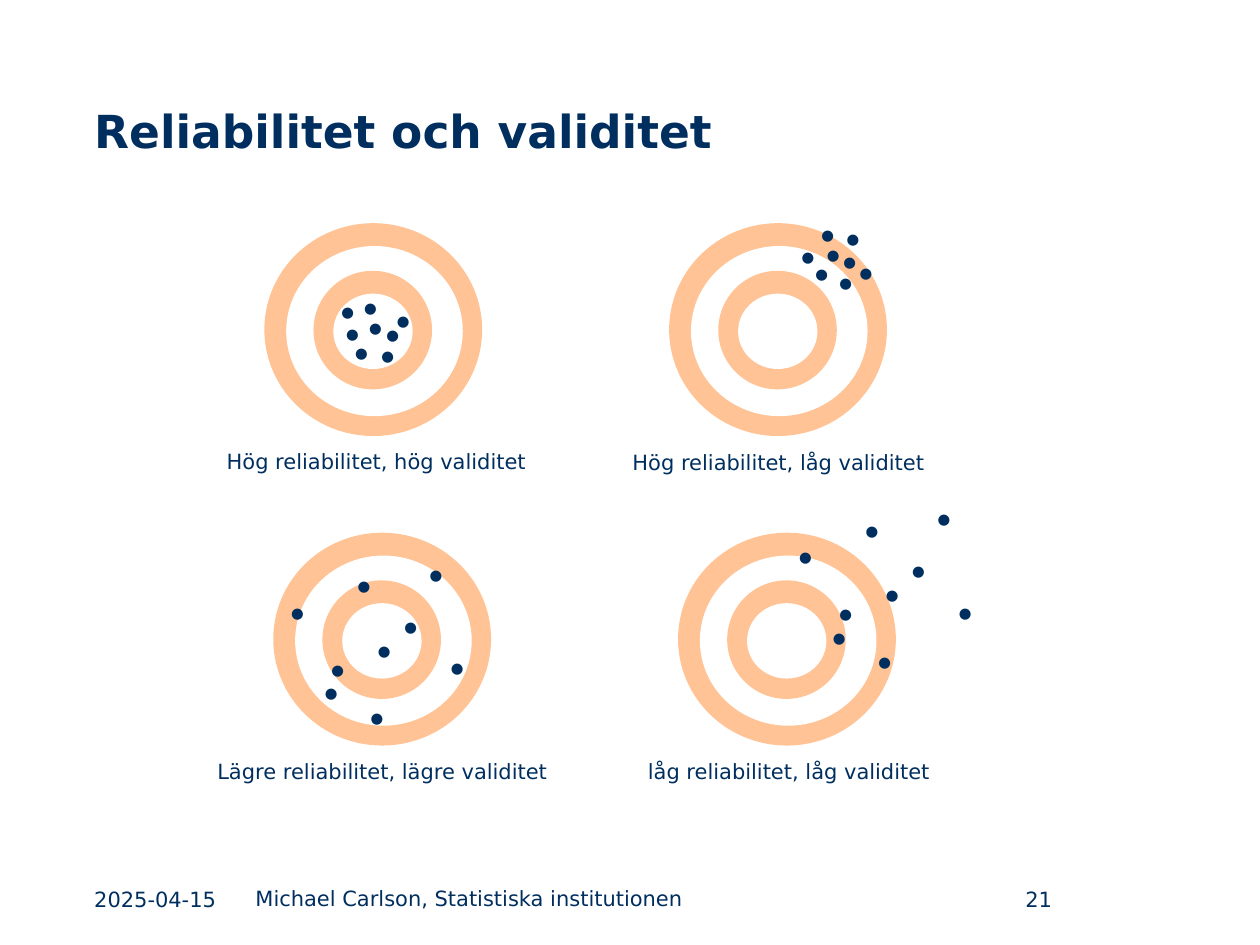
from dataclasses import dataclass

from pptx import Presentation
from pptx.dml.color import RGBColor
from pptx.enum.shapes import MSO_SHAPE
from pptx.enum.text import MSO_ANCHOR, PP_ALIGN
from pptx.util import Cm, Pt

OVAL = MSO_SHAPE.OVAL
TOP, MIDDLE, BOTTOM = MSO_ANCHOR.TOP, MSO_ANCHOR.MIDDLE, MSO_ANCHOR.BOTTOM
LEFT, CENTER, RIGHT = PP_ALIGN.LEFT, PP_ALIGN.CENTER, PP_ALIGN.RIGHT

NAVY, PEACH, WHITE = "002F5F", "FFC395", "FFFFFF"
BODY_FONT, HIT_FONT = "DejaVu Sans", "Calibri"

Point = tuple[float, float]


@dataclass
class Label:
    """A line of text; lengths in centimetres."""
    text: str
    left: float
    top: float
    width: float
    height: float
    size: int = 12
    font: str = BODY_FONT
    bold: bool = False
    align: PP_ALIGN = LEFT
    anchor: MSO_ANCHOR = TOP
    wrap: bool = True


@dataclass
class Ring:
    """An ellipse placed from the corner of its target."""
    left: float
    top: float
    width: float
    height: float
    color: str


@dataclass
class Target:
    """A target, its hits (from its corner) and its caption."""
    left: float
    top: float
    hits: list[Point]
    caption: str
    caption_left: float
    caption_top: float
    caption_width: float


RINGS = [
    Ring(0, 0, 4.39, 4.29, PEACH),
    Ring(0.44, 0.46, 3.56, 3.43, WHITE),
    Ring(0.99, 0.96, 2.39, 2.39, PEACH),
    Ring(1.39, 1.42, 1.6, 1.52, WHITE),
]

# Hit patterns
CENTERED = [(1.37, 1.68), (2.18, 1.7), (1.73, 1.17), (2.08, 2.13),
            (1.55, 2.06), (1.83, 1.57), (2.39, 1.42), (1.27, 1.24)]
OFF_CENTER = [(2.79, -0.3), (3.15, 0.66), (2.39, 0.13), (3.23, 0.23),
              (2.67, 0.48), (2.9, 0.1), (3.3, -0.23), (3.56, 0.46)]
SCATTERED = [(0.08, 1.07), (1.68, 3.18), (3.3, 2.18), (2.36, 1.35), (0.89, 2.21),
             (1.42, 0.53), (2.87, 0.3), (0.76, 2.69), (1.83, 1.83)]
SCATTERED_OFF = [(x + 2.08, y - 1.12) for x, y in SCATTERED]

TARGETS = [
    Target(5.33, 4.5, CENTERED, "Hög reliabilitet, hög validitet", 4.29, 8.92, 6.6),
    Target(13.49, 4.5, OFF_CENTER, "Hög reliabilitet, låg validitet", 12.47, 8.94, 6.45),
    Target(5.51, 10.74, SCATTERED, "Lägre reliabilitet, lägre validitet", 4.09, 15.16, 7.24),
    Target(13.67, 10.74, SCATTERED_OFF, "låg reliabilitet, låg validitet", 12.78, 15.16, 6.25),
]

LABELS = [
    Label("Reliabilitet och validitet", 1.65, 1.09, 22.07, 2.21,
          size=26, bold=True, anchor=BOTTOM),
    Label("2025-04-15", 1.65, 17.73, 3.12, 0.79, anchor=MIDDLE),
    Label("Michael Carlson, Statistiska institutionen", 4.9, 17.73, 12.47, 0.79),
    Label("21", 17.5, 17.73, 3.96, 0.79, align=RIGHT, anchor=MIDDLE),
]


def color(value: str) -> RGBColor:
    return RGBColor.from_string(value)


def add_label(page, label: Label) -> None:
    box = page.shapes.add_textbox(
        Cm(label.left), Cm(label.top), Cm(label.width), Cm(label.height))
    frame = box.text_frame
    frame.word_wrap = label.wrap
    frame.vertical_anchor = label.anchor
    para = frame.paragraphs[0]
    para.text = label.text
    para.alignment = label.align
    para.font.name = label.font
    para.font.size = Pt(label.size)
    para.font.bold = label.bold
    para.font.color.rgb = color(NAVY)


def add_rings(page, target: Target) -> None:
    group = page.shapes.add_group_shape()
    for ring in RINGS:
        oval = group.shapes.add_shape(
            OVAL, Cm(target.left + ring.left), Cm(target.top + ring.top),
            Cm(ring.width), Cm(ring.height))
        oval.shadow.inherit = False
        oval.fill.solid()
        oval.fill.fore_color.rgb = color(ring.color)
        oval.line.fill.background()


def add_hits(page, target: Target) -> None:
    group = page.shapes.add_group_shape()
    for x, y in target.hits:
        add_label(group, Label("•", target.left + x, target.top + y, 0.84, 1.02,
                               size=18, font=HIT_FONT, wrap=False))


def add_caption(page, target: Target) -> None:
    add_label(page, Label(target.caption, target.caption_left, target.caption_top,
                          target.caption_width, 0.76, align=CENTER, wrap=False))


def main() -> None:
    deck = Presentation()
    deck.slide_width, deck.slide_height = Cm(25.4), Cm(19.05)
    page = deck.slides.add_slide(deck.slide_layouts[6])

    # Title and footer
    for label in LABELS:
        add_label(page, label)

    # Targets first, so that hits and captions lie on top
    for draw in (add_rings, add_hits, add_caption):
        for target in TARGETS:
            draw(page, target)

    deck.save("out.pptx")


if __name__ == "__main__":
    main()
